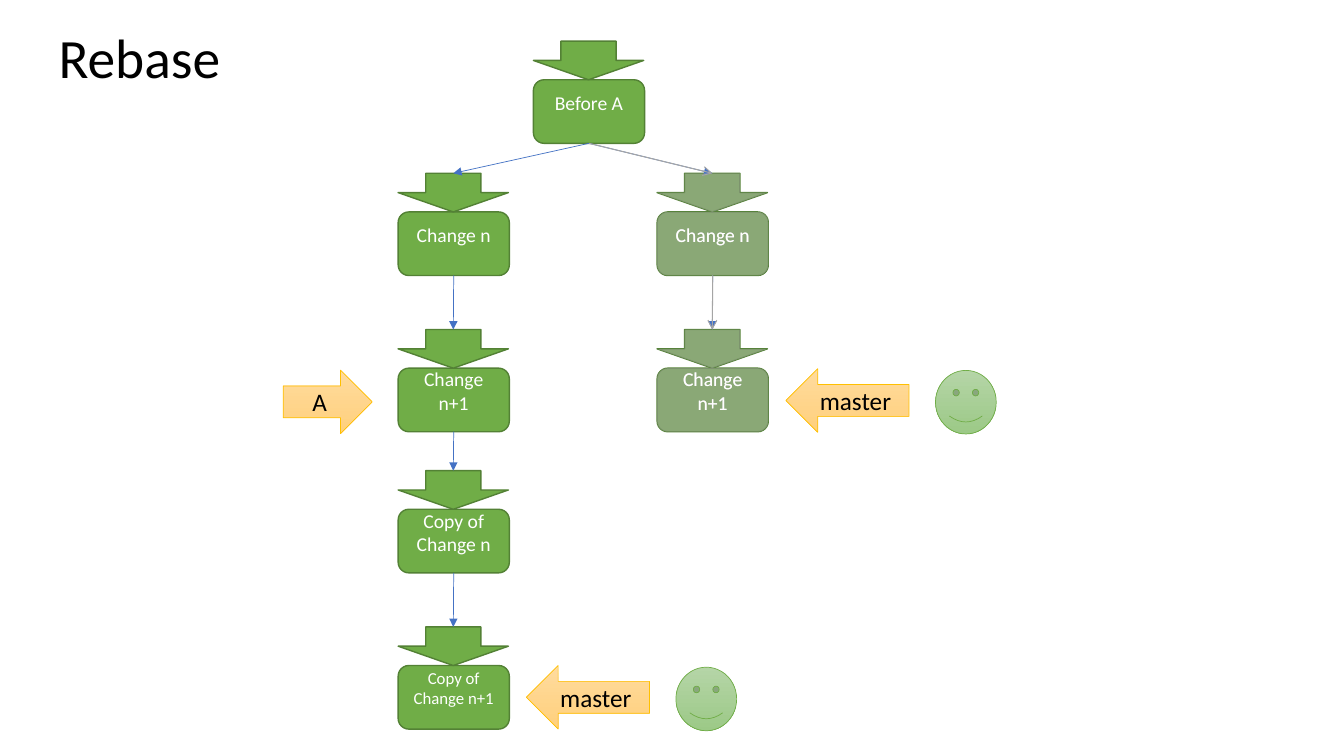
from lxml import etree
from pptx import Presentation
from pptx.dml.color import RGBColor
from pptx.enum import shapes, text
from pptx.oxml import ns
from pptx.util import Pt

GREEN = RGBColor(0x70, 0xAD, 0x47)
DARK = RGBColor(0x53, 0x81, 0x35)
GREY = RGBColor(0xA5, 0xA5, 0xA5)
BLUE = RGBColor(0x44, 0x72, 0xC4)
GOLD = RGBColor(0xFF, 0xC0, 0x00)
WHITE = RGBColor(0xFF, 0xFF, 0xFF)
BLACK = RGBColor(0, 0, 0)
SAND = RGBColor(0xFF, 0xDB, 0x9E), RGBColor(0xFF, 0xD0, 0x7C)
MINT = RGBColor(0xB5, 0xD5, 0xA7), RGBColor(0x9C, 0xC9, 0x87)

KIND = shapes.MSO_SHAPE
LEFT, MID, RIGHT = 284.4, 381, 469.4
ROWS = 29.4, 123.8, 235.4, 336.2, 447.8
HEAD = 27.6


class Board:
    font = "Calibri"

    def __init__(self, slide):
        self.slide = slide

    def label(self, shape, words, size, color, align):
        frame = shape.text_frame
        frame.text = words
        frame.word_wrap = True
        frame.vertical_anchor = text.MSO_ANCHOR.MIDDLE
        para = frame.paragraphs[0]
        para.alignment = align
        font = para.runs[0].font
        font.name, font.size, font.color.rgb = self.font, Pt(size), color

    def title(self, words, x, y, w, h):
        shape = self.slide.shapes.title
        shape.left, shape.top, shape.width, shape.height = map(Pt, (x, y, w, h))
        self.label(shape, words, 39.6, BLACK, text.PP_ALIGN.LEFT)
        shape.text_frame.paragraphs[0].line_spacing = 0.9

    def shape(self, kind, x, y, w, h, line, width):
        shape = self.slide.shapes.add_shape(kind, *map(Pt, (x, y, w, h)))
        shape.shadow.inherit = False
        if line is None:
            shape.line.fill.background()
        else:
            shape.line.color.rgb = line
            shape.line.width = Pt(width)
        return shape

    def paint(self, shape, color, alpha=None):
        shape.fill.solid()
        shape.fill.fore_color.rgb = color
        if alpha:
            fill = shape.element.spPr.find(ns.qn("a:solidFill"))
            etree.SubElement(fill[0], ns.qn("a:alpha"), val=str(alpha * 1000))

    def blend(self, shape, colors):
        shape.fill.gradient()
        shape.fill.gradient_angle = 270
        for stop, color in zip(shape.fill.gradient_stops, colors):
            stop.color.rgb = color

    def node(self, words, x, y, size=14, faded=False):
        """A commit box under its arrow head; faded ones are a grey veil."""
        line = None if faded else DARK
        fill = (GREY, 50) if faded else (GREEN,)
        box = self.shape(KIND.FLOWCHART_ALTERNATE_PROCESS,
                         x, y + HEAD, 79.4, 45.4, line, 1)
        head = self.shape(KIND.DOWN_ARROW, x, y, 78.8, HEAD, line, 1)
        for part in (box, head):
            self.paint(part, *fill)
        self.label(box, words, size, WHITE, text.PP_ALIGN.CENTER)
        # The label sits above the middle of the box
        box.text_frame.margin_top, box.text_frame.margin_bottom = 0, Pt(13)
        return head, box

    def branch(self, words, kind, x, y, w):
        arrow = self.shape(kind, x, y, w, 45.4, GOLD, 0.5)
        self.blend(arrow, SAND)
        self.label(arrow, words, 18, BLACK, text.PP_ALIGN.CENTER)

    def smile(self, x, y):
        face = self.shape(KIND.SMILEY_FACE, x, y, 43.4, 45.4, GREEN, 0.5)
        self.blend(face, MINT)

    def link(self, start, end, color=BLUE, width=0.5, tip="triangle"):
        wire = self.slide.shapes.add_connector(
            shapes.MSO_CONNECTOR.STRAIGHT, 0, 0, 0, 0)
        wire.begin_connect(start[1], 2)
        wire.end_connect(end[0], 0)
        wire.line.color.rgb = color
        wire.line.width = Pt(width)
        props = wire.element.spPr
        etree.SubElement(props.find(ns.qn("a:ln")), ns.qn("a:tailEnd"), type=tip)
        etree.SubElement(props, ns.qn("a:effectLst"))


def main():
    deck = Presentation()
    deck.slide_width, deck.slide_height = Pt(960), Pt(540)
    board = Board(deck.slides.add_slide(deck.slide_layouts[5]))
    board.title("Rebase", 34.6, 16.6, 295.2, 53.3)

    # Commits
    root = board.node("Before A", MID, ROWS[0])
    names = "Change n", "Change n+1", "Copy of Change n", "Copy of Change n+1"
    sizes = 14, 14, 14, 12
    new = [board.node(name, LEFT, y, size)
           for name, y, size in zip(names, ROWS[1:], sizes)]
    old = [board.node(name, RIGHT, y) for name, y in zip(names, ROWS[1:3])]

    # History links
    for line in (new, old):
        for start, end in zip([root] + line, line):
            board.link(start, end)

    # Branch labels and current positions
    board.branch("A", KIND.RIGHT_ARROW, 202.3, 264.4, 63.6)
    for x, y in ((561.4, 263.4), (376, 475.4)):
        board.branch("master", KIND.LEFT_ARROW, x, y, 88)
        board.smile(x + 106.8, y + 1.2)

    # Veil over the abandoned commits
    veil = [board.node(name, RIGHT, y, faded=True)
            for name, y in zip(names, ROWS[1:3])]
    for start, end in zip([root] + veil, veil):
        board.link(start, end, GREY, 0.75, "arrow")

    deck.save("out.pptx")


if __name__ == "__main__":
    main()
